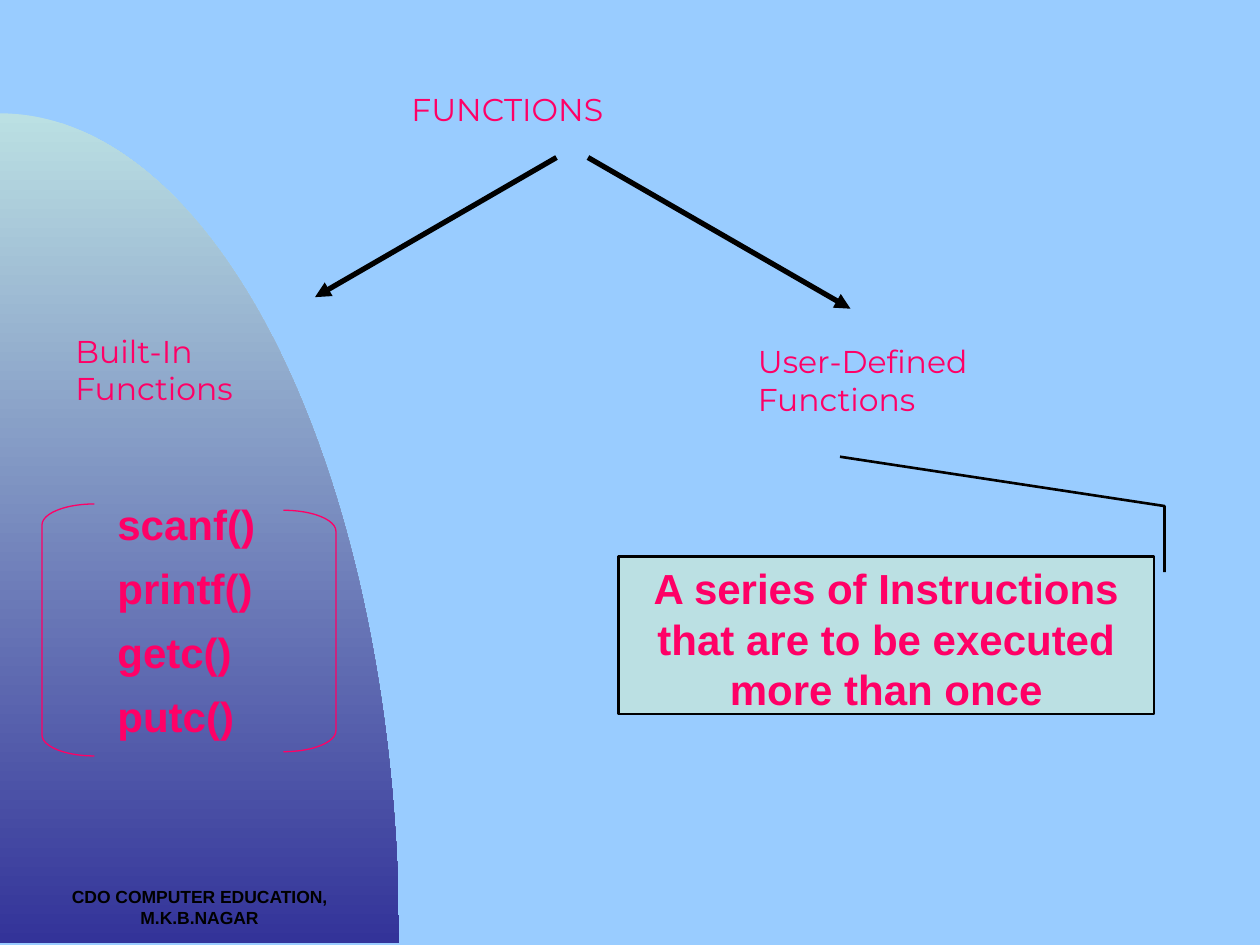
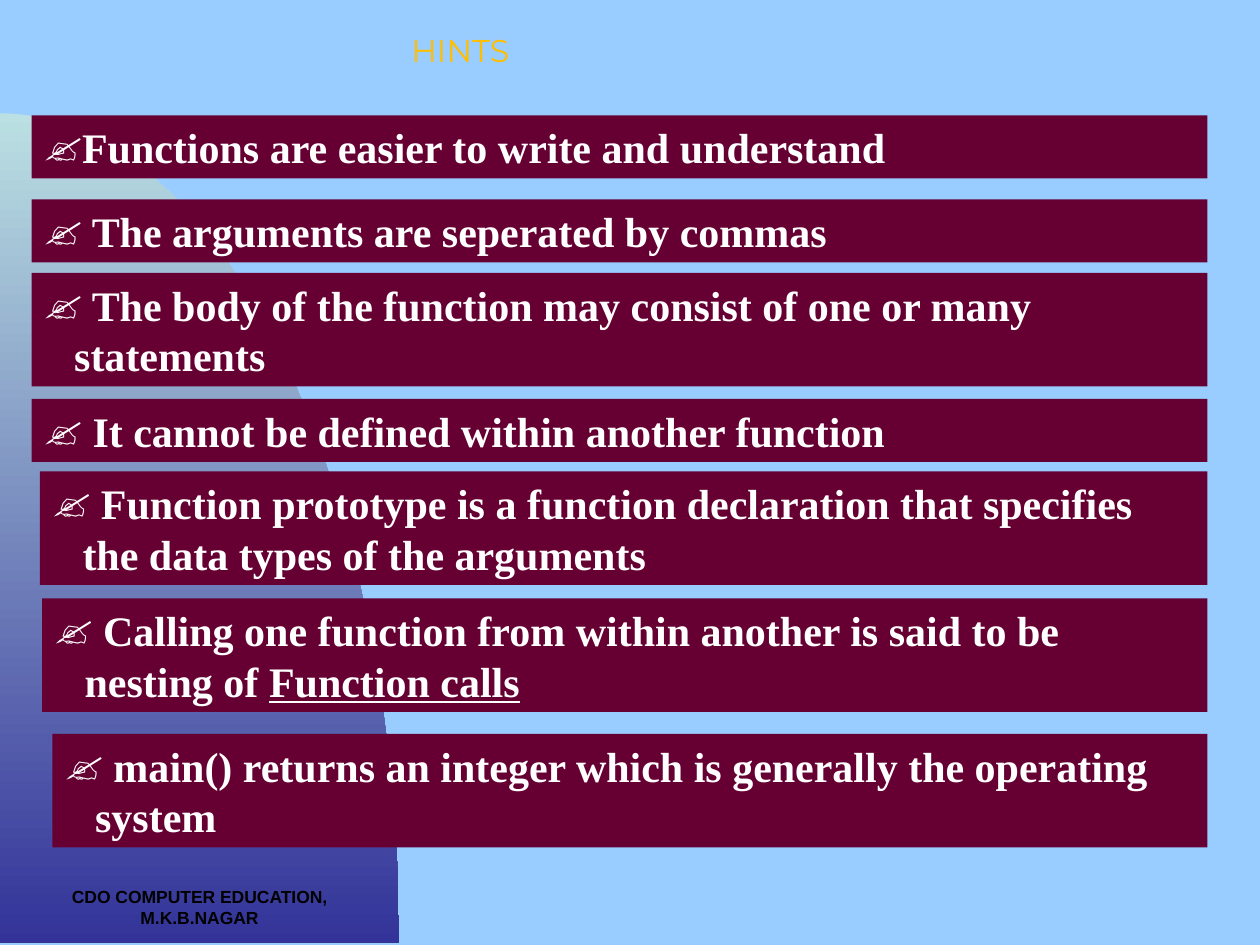
"""Build two slides on C functions: their kinds, and a list of hints."""
from math import cos, pi, sin

from lxml.etree import SubElement
from pptx import Presentation
from pptx.dml.color import RGBColor
from pptx.enum.shapes import MSO_CONNECTOR, MSO_SHAPE
from pptx.enum.text import MSO_ANCHOR, PP_ALIGN
from pptx.oxml import parse_xml
from pptx.oxml.ns import nsdecls, qn
from pptx.util import Inches, Pt

SKY = RGBColor(0x99, 0xCC, 0xFF)
MINT = RGBColor(0xBB, 0xE0, 0xE3)
INDIGO = RGBColor(0x33, 0x33, 0x99)
PINK = RGBColor(0xFF, 0x00, 0x66)
AMBER = RGBColor(0xFF, 0xBF, 0x00)
MAROON = RGBColor(0x66, 0x00, 0x33)
BLACK = RGBColor(0x00, 0x00, 0x00)
WHITE = RGBColor(0xFF, 0xFF, 0xFF)

FOOTER = {"name": "Arial", "size": Pt(10), "bold": True}
HEADING = {"name": "Montserrat", "size": Pt(18)}
BODY = {"name": "Arial", "size": Pt(24), "bold": True}
HINT = {"name": "Times New Roman", "size": Pt(24), "bold": True}

COLUMNS, ROWS = 120, 90
deck = Presentation()
deck.slide_width, deck.slide_height = Inches(10), Inches(7.5)
CELL = deck.slide_width / COLUMNS


def grid(*cells):
    """Turn grid cells into slide lengths."""
    return [round(cell * CELL) for cell in cells]


def write(box, lines, style, color, align=PP_ALIGN.LEFT):
    """Fill a box with one formatted paragraph per line."""
    frame = box.text_frame
    frame.vertical_anchor = MSO_ANCHOR.TOP
    for number, line in enumerate(lines):
        para = frame.add_paragraph() if number else frame.paragraphs[0]
        para.alignment = align
        for text in line if isinstance(line, tuple) else (line,):
            span = para.add_run()
            span.text = text
            for key, value in style.items():
                setattr(span.font, key, value)
            span.font.color.rgb = color
            if style is HEADING:
                span.font._element.insert(0, parse_xml(
                    f'<a:ln {nsdecls("a")} w="9525"><a:solidFill>'
                    f'<a:srgbClr val="{BLACK}"/></a:solidFill></a:ln>'))
    return frame


kinds, hints = [deck.slides.add_slide(deck.slide_layouts[6]) for _ in range(2)]

CURVE_WIDTH, CURVE_TOP, CURVE_BOTTOM, STEPS = 38, 10.8, 89.8, 90
angles = [step * pi / 2 / STEPS for step in range(STEPS + 1)]
curve = [grid(CURVE_WIDTH * sin(angle), CURVE_BOTTOM - (CURVE_BOTTOM - CURVE_TOP) * cos(angle))
         for angle in angles]
for page in (kinds, hints):
    page.background.fill.solid()
    page.background.fill.fore_color.rgb = SKY
    builder = page.shapes.build_freeform(*curve[0])
    builder.add_line_segments(curve[1:] + [grid(0, CURVE_BOTTOM)], close=True)
    dome = builder.convert_to_shape()
    dome.shadow.inherit = False
    dome.line.fill.background()
    dome.fill.gradient()
    dome.fill.gradient_angle = 270
    for stop, color in zip(dome.fill.gradient_stops, (MINT, INDIGO)):
        stop.color.rgb = color
    footer = page.shapes.add_textbox(*grid(0, 83.8, CURVE_WIDTH, 6.2))
    footer.text_frame.word_wrap = True
    write(footer, ["CDO COMPUTER EDUCATION, M.K.B.NAGAR"], FOOTER, BLACK, PP_ALIGN.CENTER)

for page, cells, lines, color in (
    (kinds, (38, 8, 39.7, 6), ["FUNCTIONS"], PINK),
    (kinds, (6, 31, 39.7, 11), ["Built-In", "Functions"], PINK),
    (kinds, (71, 32, 39.7, 11), ["User-Defined", "Functions"], PINK),
    (hints, (38, 2.4, 34, 6), ["HINTS"], AMBER),
):
    heading = page.shapes.add_textbox(*grid(*cells))
    frame = write(heading, lines, HEADING, color)
    frame.word_wrap = False
    frame._txBody.bodyPr.set("anchorCtr", "1")

for ends in ((53, 15, 30, 28.3), (56, 15, 81, 29.4)):
    arrow = kinds.shapes.add_connector(MSO_CONNECTOR.STRAIGHT, *grid(*ends))
    arrow.line.width = Pt(3)
    arrow.line.color.rgb = BLACK
    SubElement(arrow.line._get_or_add_ln(), qn("a:tailEnd"), type="triangle")
    SubElement(arrow._element.spPr, qn("a:effectLst"))

for preset, cells in (
    (MSO_SHAPE.LEFT_BRACKET, (4, 48, 5, 24)),
    (MSO_SHAPE.RIGHT_BRACKET, (27, 48.6, 5, 23)),
):
    bracket = kinds.shapes.add_shape(preset, *grid(*cells))
    bracket.adjustments[0] = 0.4
    bracket.shadow.inherit = False
    bracket.fill.background()
    bracket.line.color.rgb = PINK
    bracket.line.width = Pt(0.75)

library = kinds.shapes.add_textbox(*grid(10, 48, 34, 23.2))
frame = write(library, ["scanf()", "printf()", "getc()", "putc()"], BODY, PINK)
frame.word_wrap = True
for number, para in enumerate(frame.paragraphs):
    para.line_spacing = 0.75
    para.space_before = Pt(15 if number else 0)

definition = kinds.shapes.add_shape(MSO_SHAPE.RECTANGLE, *grid(58.9, 53, 51, 15))
definition.fill.solid()
definition.fill.fore_color.rgb = MINT
write(definition, ["A series of Instructions that are to be executed more than once"],
      BODY, PINK, PP_ALIGN.CENTER)
builder = kinds.shapes.build_freeform(*grid(110.9, 54.5))
builder.add_line_segments([grid(110.9, 48.2), grid(80, 43.5)], close=False)
pointer = builder.convert_to_shape()
pointer.fill.background()
for shape in (definition, pointer):
    shape.shadow.inherit = False
    shape.line.color.rgb = BLACK
    shape.line.width = Pt(1.5)

BAND_RIGHT, ONE_LINE, TWO_LINES = 115, 6, 10.8
HANGING = Inches(0.24)
for left, top, height, line in (
    (3, 11, ONE_LINE, "Functions are easier to write and understand"),
    (3, 19, ONE_LINE, " The arguments are seperated by commas"),
    (3, 26, TWO_LINES, " The body of the function may consist of one or many statements"),
    (3, 38, ONE_LINE, " It cannot be defined within another function"),
    (3.8, 44.9, TWO_LINES, " Function prototype is a function declaration that specifies "
                           "the data types of the arguments"),
    (4, 57, TWO_LINES, (" Calling one function from within another is said to be nesting of ",
                        "Function calls")),
    (5, 69.9, TWO_LINES, " main() returns an integer which is generally the operating system"),
):
    band = hints.shapes.add_shape(
        MSO_SHAPE.RECTANGLE, *grid(left, top, BAND_RIGHT - left, height))
    band.shadow.inherit = False
    band.fill.solid()
    band.fill.fore_color.rgb = MAROON
    band.line.fill.background()
    para = write(band, [line], HINT, WHITE).paragraphs[0]
    for span in para.runs[1:]:
        span.font.underline = True
    layout = para._element.get_or_add_pPr()
    layout.set("marL", str(HANGING))
    layout.set("indent", str(-HANGING))
    SubElement(SubElement(layout, qn("a:buClr")), qn("a:srgbClr"), val=str(WHITE))
    SubElement(layout, qn("a:buFont"), typeface="Times New Roman")
    SubElement(layout, qn("a:buChar"), char="✍")

deck.save("out.pptx")
